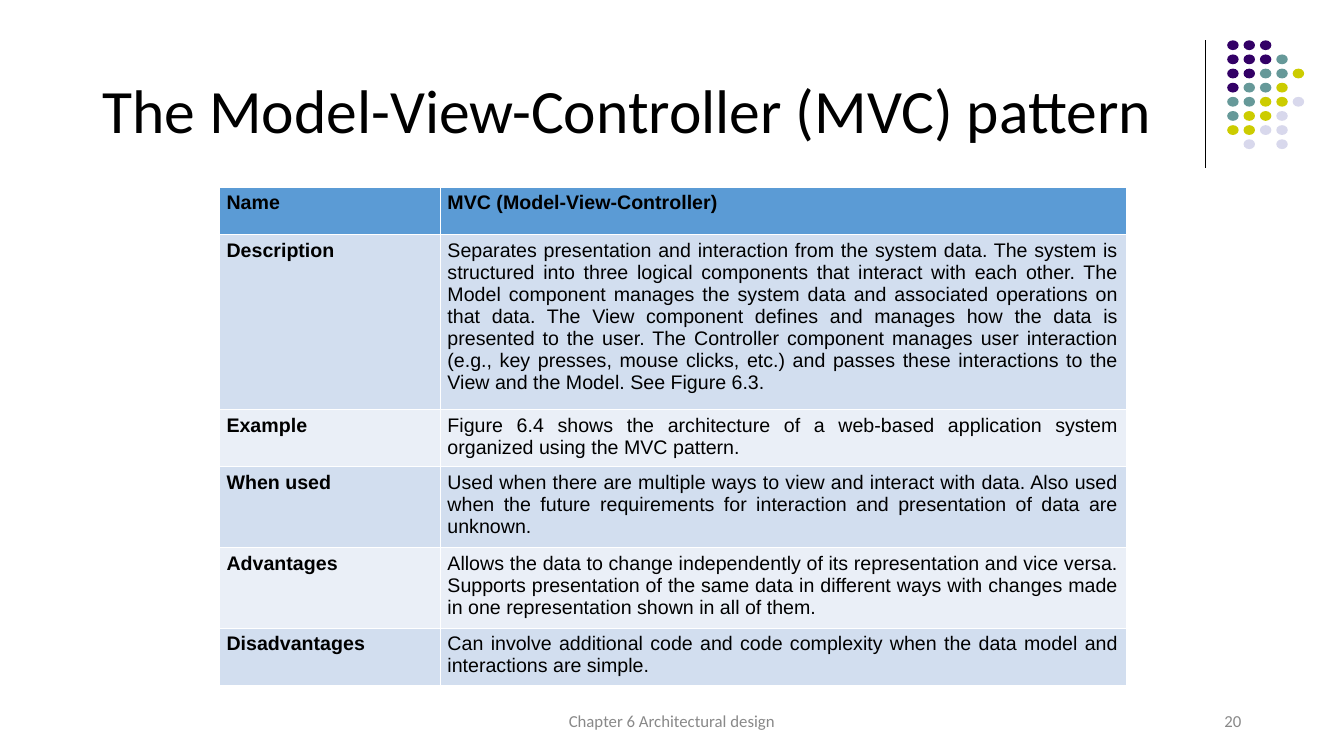
from lxml import etree
from pptx import Presentation
from pptx.dml.color import RGBColor
from pptx.enum.shapes import MSO_CONNECTOR, MSO_SHAPE
from pptx.enum.text import MSO_ANCHOR, PP_ALIGN
from pptx.oxml.ns import qn
from pptx.util import Pt

LEFT, MID, RIGHT, FULL = PP_ALIGN.LEFT, PP_ALIGN.CENTER, PP_ALIGN.RIGHT, PP_ALIGN.JUSTIFY
MIDDLE = MSO_ANCHOR.MIDDLE
OVAL, LINE = MSO_SHAPE.OVAL, MSO_CONNECTOR.STRAIGHT

BLACK = RGBColor(0, 0, 0)
GREY = RGBColor(0x89, 0x89, 0x89)
BLUE = RGBColor(0x5B, 0x9B, 0xD5)
BANDS = (RGBColor(0xD2, 0xDE, 0xEF), RGBColor(0xEA, 0xEF, 0xF7))
DOTS = {
    "P": RGBColor(0x33, 0x00, 0x66),
    "T": RGBColor(0x66, 0x99, 0x99),
    "Y": RGBColor(0xCC, 0xCC, 0x00),
    "L": RGBColor(0xD8, 0xD8, 0xEC),
}

TEXTS = [
    ("The Model-View-Controller (MVC) pattern", (66.2, 28.8, 792, 104.4), 44, BLACK, LEFT),
    ("20", (678.2, 500.4, 216, 28.8), 12, GREY, RIGHT),
    ("Chapter 6 Architectural design", (318.2, 500.4, 324, 28.8), 12, GREY, MID),
]
ROWS = [
    ("Name", "MVC (Model-View-Controller)", 34),
    ("Description", "Separates presentation and interaction from the system data. "
     "The system is structured into three logical components that interact with each other. "
     "The Model component manages the system data and associated operations on that data. "
     "The View component defines and manages how the data is presented to the user. "
     "The Controller component manages user interaction (e.g., key presses, mouse clicks, etc.) "
     "and passes these interactions to the View and the Model. See Figure 6.3.", 122.4),
    ("Example", "Figure 6.4 shows the architecture of a web-based application system "
     "organized using the MVC pattern.", 35.3),
    ("When used", "Used when there are multiple ways to view and interact with data. "
     "Also used when the future requirements for interaction and presentation of data "
     "are unknown.", 52.6),
    ("Advantages", "Allows the data to change independently of its representation and vice versa. "
     "Supports presentation of the same data in different ways with changes made in one "
     "representation shown in all of them.", 52.6),
    ("Disadvantages", "Can involve additional code and code complexity when the data model and "
     "interactions are simple.", 35.3),
]
COLS = (157.9, 490.3)
GRID = ("PPP", "PPPT", "PPTTY", "PTTY", "TTYYL", "TYYL", "YYLL", " L L")


def style(par, font, size, color, align, bold=False):
    par.alignment = align
    for run in par.runs:
        run.font.name = font
        run.font.size = Pt(size)
        run.font.bold = bold
        run.font.color.rgb = color


def edge(cell, side, width):
    line = etree.SubElement(cell._tc.get_or_add_tcPr(), qn("a:ln" + side), w=str(Pt(width)))
    fill = etree.SubElement(line, qn("a:solidFill"))
    etree.SubElement(fill, qn("a:srgbClr"), val="FFFFFF")


def add_dots(shapes):
    for row, marks in enumerate(GRID):
        for col, mark in enumerate(marks):
            if mark in DOTS:
                dot = shapes.add_shape(OVAL, Pt(877 + 11.7 * col), Pt(28.8 + 10.1 * row),
                                       Pt(8.2), Pt(7))
                dot.shadow.inherit = False
                dot.fill.solid()
                dot.fill.fore_color.rgb = DOTS[mark]
                dot.line.fill.background()


def add_texts(shapes):
    for text, place, size, color, align in TEXTS:
        frame = shapes.add_textbox(*map(Pt, place)).text_frame
        frame.word_wrap = True
        frame.vertical_anchor = MIDDLE
        frame.text = text
        par = frame.paragraphs[0]
        par.line_spacing = 0.9 if size == 44 else 1.0
        style(par, "Calibri", size, color, align)


def add_grid(shapes):
    high = sum(row[2] for row in ROWS)
    table = shapes.add_table(len(ROWS), len(COLS), Pt(156.5), Pt(133.5),
                             Pt(sum(COLS)), Pt(high)).table
    for col, wide in zip(table.columns, COLS):
        col.width = Pt(wide)
    for r, (name, text, tall) in enumerate(ROWS):
        table.rows[r].height = Pt(tall)
        for c, words in enumerate((name, text)):
            cell = table.cell(r, c)
            cell.margin_left = cell.margin_right = Pt(5.4)
            cell.margin_top = cell.margin_bottom = Pt(3.6)
            for side in "LRTB":
                thick = (r, side) in ((0, "B"), (1, "T"))
                edge(cell, side, 1.47 if thick else 0.45)
            cell.fill.solid()
            cell.fill.fore_color.rgb = BANDS[(r - 1) % 2] if r else BLUE
            cell.text = words
            style(cell.text_frame.paragraphs[0], "Arial", 14, BLACK, FULL, r == 0 or c == 0)


def main():
    deck = Presentation()
    deck.slide_width, deck.slide_height = Pt(960.5), Pt(540)
    shapes = deck.slides.add_slide(deck.slide_layouts[6]).shapes
    rule = shapes.add_connector(LINE, Pt(861.8), Pt(28.8), Pt(861.8), Pt(120.2))
    rule.line.color.rgb = BLACK
    rule.line.width = Pt(0.75)
    etree.SubElement(rule._element.spPr, qn("a:effectLst"))
    add_dots(shapes)
    add_texts(shapes)
    add_grid(shapes)
    deck.save("out.pptx")


if __name__ == "__main__":
    main()
